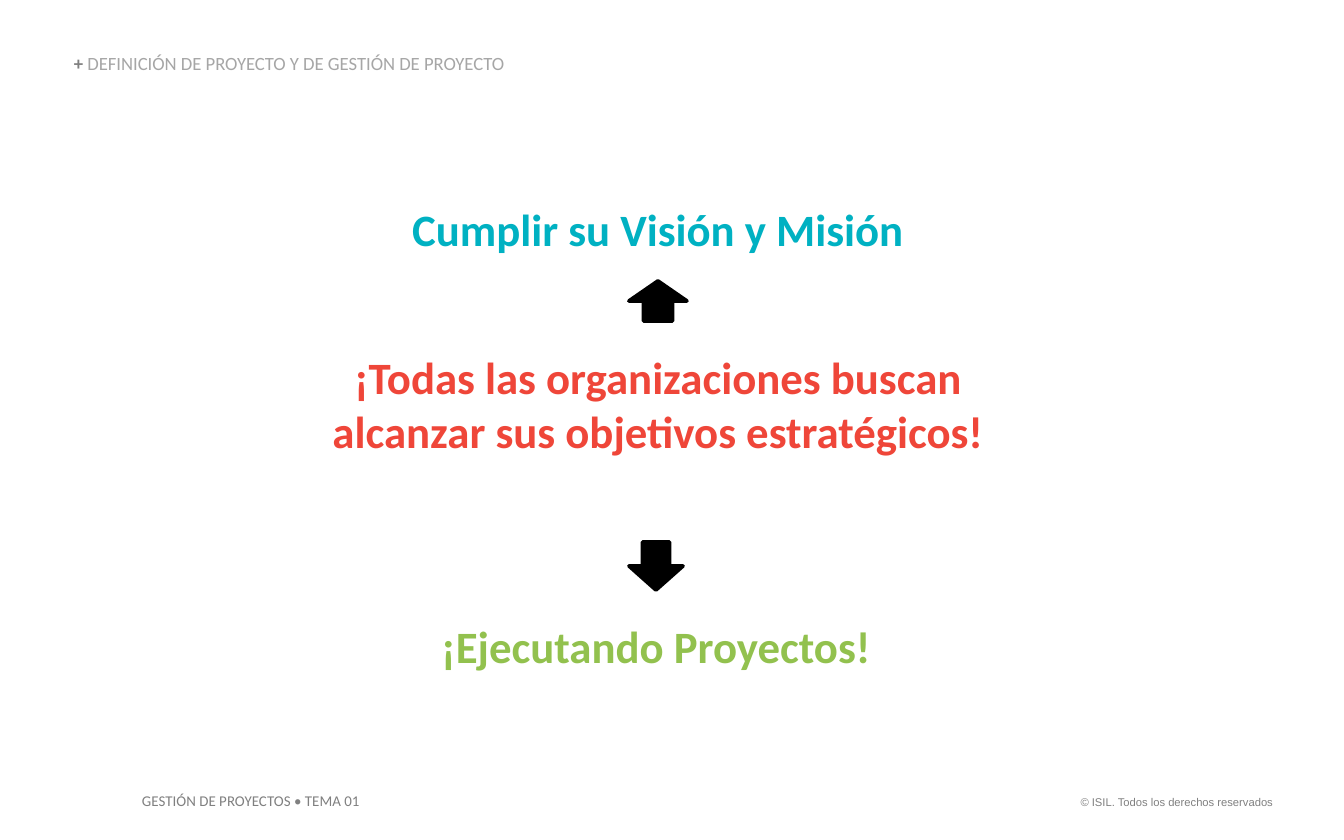
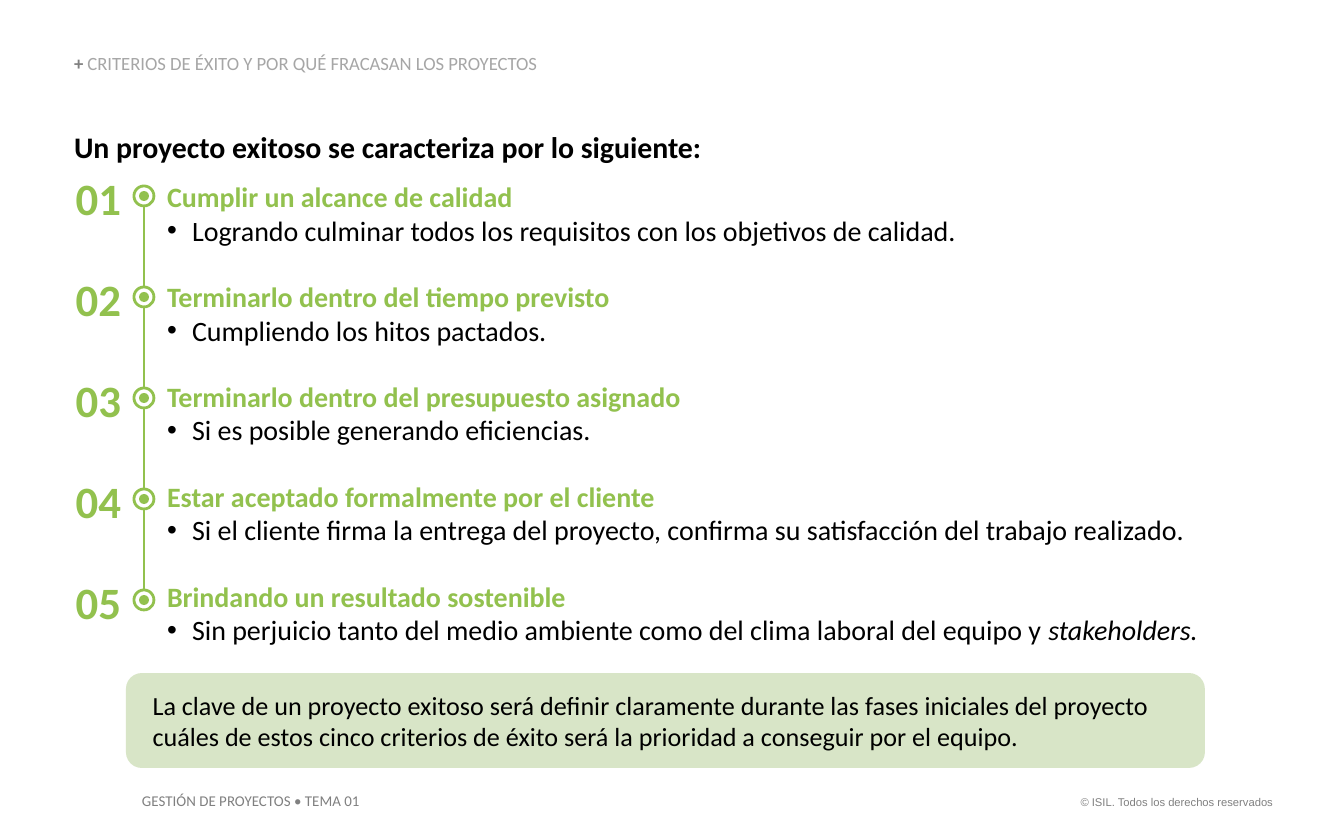
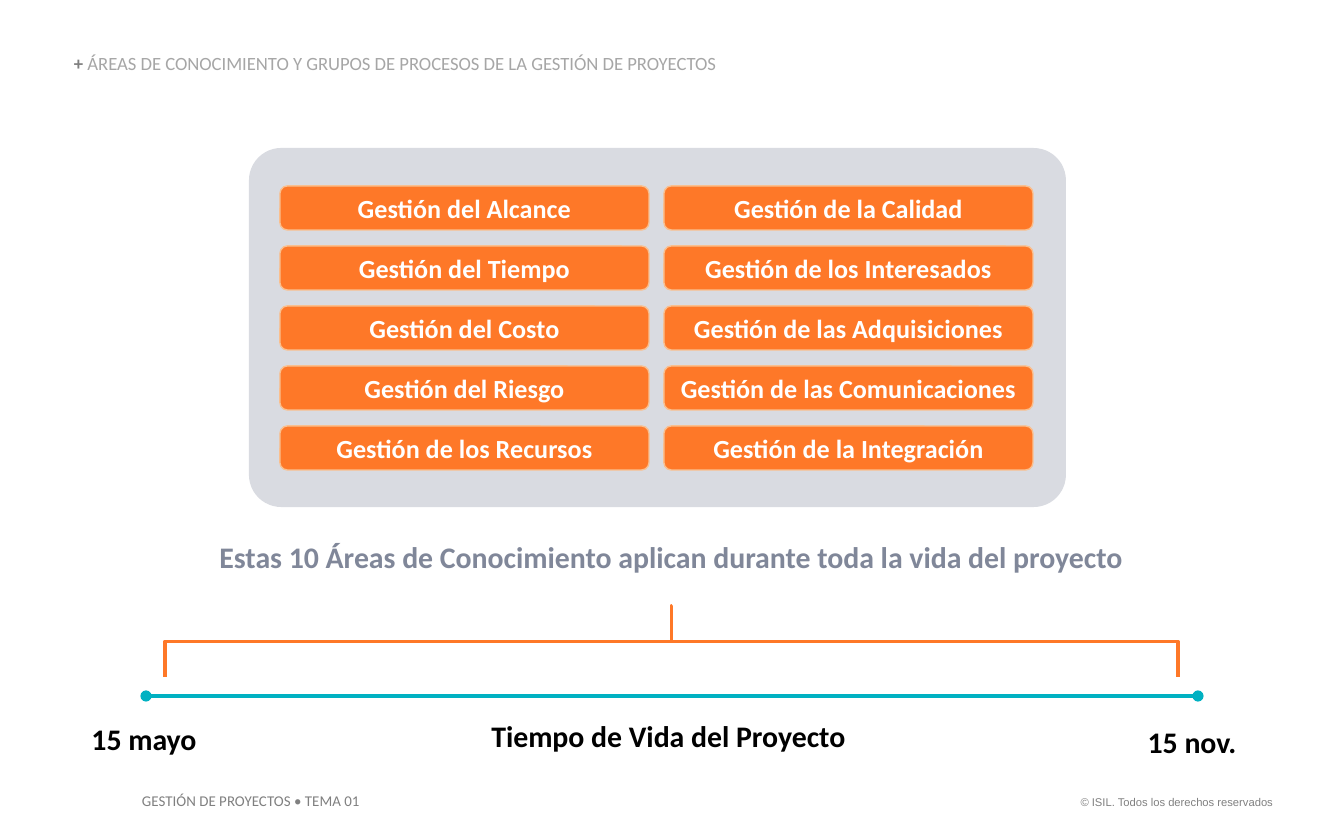
from dataclasses import dataclass
from typing import Any, NamedTuple, Optional

import lxml.etree
import pptx
import pptx.dml.color
import pptx.enum.shapes
import pptx.enum.text
import pptx.oxml.ns
import pptx.util

EMU_PER_PX = 914400 / 134.4
SHAPE = pptx.enum.shapes.MSO_SHAPE
ALIGN = pptx.enum.text.PP_ALIGN
ANCHOR = pptx.enum.text.MSO_ANCHOR
AUTO_SIZE = pptx.enum.text.MSO_AUTO_SIZE


@dataclass(frozen=True)
class Theme:
    font: str = "Calibri"
    legal_font: str = "Arial"
    black: str = "000000"
    white: str = "FFFFFF"
    gray: str = "808080"
    light_gray: str = "A6A6A6"
    slate: str = "808799"
    panel: str = "D9DBE1"
    teal: str = "00B1C2"
    red: str = "EF4639"
    green: str = "92C14E"
    dark_green: str = "81AC46"
    orange: str = "FE7828"
    peach: str = "FABF8E"
    display: int = 24
    heading: int = 16
    body: int = 15
    label: int = 14
    title: int = 10
    footer: int = 8
    legal: int = 6


THEME = Theme()


class Box(NamedTuple):
    left: int
    top: int
    width: int
    height: int


class Message(NamedTuple):
    text: str
    box: Box
    color: str


class Criterion(NamedTuple):
    name: str
    detail: str
    emphasis: str = ""


INSETS = (13, 7, 13, 7)
NO_INSETS = (0, 0, 0, 0)


# Helpers
def px(length: float) -> int:
    return round(length * EMU_PER_PX)


def rgb(color: str) -> Any:
    return pptx.dml.color.RGBColor.from_string(color)


def add_xml(parent: Any, tag: str, **attributes: str) -> Any:
    return lxml.etree.SubElement(parent, pptx.oxml.ns.qn(tag), attributes)


def set_frame(frame: Any, insets: tuple, anchor: Any, wrap: bool = True) -> None:
    frame.word_wrap = wrap
    frame.vertical_anchor = anchor
    (frame.margin_left, frame.margin_top,
     frame.margin_right, frame.margin_bottom) = map(px, insets)


def write(frame: Any, text: str, *, size: int, color: str, bold: bool = False,
          italic: bool = False, font: str = THEME.font, align: Any = ALIGN.LEFT,
          paragraph: Any = None) -> Any:
    """Add a run to the given paragraph, or to a new one, and return the paragraph."""
    if paragraph is None:
        first = frame.paragraphs[0]
        paragraph = frame.add_paragraph() if first.runs else first
        paragraph.alignment = align
    run = paragraph.add_run()
    run.text = text
    run.font.name = font
    run.font.size = pptx.util.Pt(size)
    run.font.bold = bold
    run.font.italic = italic
    run.font.color.rgb = rgb(color)
    return paragraph


def add_frame(shapes: Any, box: Box, insets: tuple = INSETS, anchor: Any = ANCHOR.TOP,
              wrap: bool = True, grow: bool = True) -> Any:
    frame = shapes.add_textbox(*map(px, box)).text_frame
    set_frame(frame, insets, anchor, wrap)
    frame.auto_size = AUTO_SIZE.SHAPE_TO_FIT_TEXT if grow else AUTO_SIZE.NONE
    return frame


def add_figure(shapes: Any, kind: Any, box: Box, fill: Optional[str] = None,
               line: Optional[str] = None, weight: float = 1) -> Any:
    figure = shapes.add_shape(kind, *map(px, box))
    figure.shadow.inherit = False
    if fill:
        figure.fill.solid()
        figure.fill.fore_color.rgb = rgb(fill)
    else:
        figure.fill.background()
    if line:
        figure.line.color.rgb = rgb(line)
        figure.line.width = pptx.util.Pt(weight)
    else:
        figure.line.fill.background()
    return figure


def add_line(shapes: Any, start: tuple, end: tuple, color: str, weight: float,
             oval_ends: bool = False) -> None:
    line = shapes.add_connector(pptx.enum.shapes.MSO_CONNECTOR.STRAIGHT,
                                *map(px, start + end))
    line.line.color.rgb = rgb(color)
    line.line.width = pptx.util.Pt(weight)
    if oval_ends:
        outline = line.line._get_or_add_ln()
        add_xml(outline, "a:headEnd", type="oval")
        add_xml(outline, "a:tailEnd", type="oval")
    add_xml(line._element.spPr, "a:effectLst")


def add_bullet(paragraph: Any) -> None:
    properties = paragraph._p.get_or_add_pPr()
    add_xml(add_xml(properties, "a:buClr"), "a:srgbClr", val=THEME.black)
    add_xml(properties, "a:buFont", typeface=THEME.legal_font)
    add_xml(properties, "a:buChar", char="•")


def indent(paragraph: Any, left: int, first: int = 0) -> None:
    properties = paragraph._p.get_or_add_pPr()
    properties.set("marL", str(px(left)))
    properties.set("indent", str(px(first)))


# Shared title and footers
def add_base_slide(deck: Any, title: str, title_width: int) -> Any:
    shapes = deck.slides.add_slide(deck.slide_layouts[6]).shapes
    legal = add_frame(shapes, Box(1063, 789, 223, 27), wrap=False)
    write(legal, "© ISIL. Todos los derechos reservados", size=THEME.legal,
          color=THEME.gray, font=THEME.legal_font, align=ALIGN.RIGHT)
    course = add_frame(shapes, Box(129, 785, 249, 32), wrap=False)
    write(course, "GESTIÓN DE PROYECTOS • TEMA 01", size=THEME.footer, color=THEME.gray)
    header = add_frame(shapes, Box(74, 55, title_width, 20), NO_INSETS, ANCHOR.BOTTOM)
    line = write(header, "+ ", size=THEME.title, color=THEME.gray, bold=True)
    write(header, title, size=THEME.title, color=THEME.light_gray, paragraph=line)
    line.line_spacing = 0.9
    return shapes


# Slide 1: what organizations pursue
MESSAGES = [
    Message("¡Todas las organizaciones buscan alcanzar sus objetivos estratégicos!",
            Box(294, 343, 728, 122), THEME.red),
    Message("Cumplir su Visión y Misión", Box(294, 195, 728, 67), THEME.teal),
    Message("¡Ejecutando Proyectos!", Box(292, 612, 728, 67), THEME.green),
]


def build_objectives(deck: Any) -> None:
    shapes = add_base_slide(deck, "DEFINICIÓN DE PROYECTO Y DE GESTIÓN DE PROYECTO", 449)
    for message in MESSAGES:
        write(add_frame(shapes, message.box), message.text, size=THEME.display,
              color=message.color, bold=True, align=ALIGN.CENTER)
    for kind, box in ((SHAPE.UP_ARROW, Box(629, 281, 58, 40)),
                      (SHAPE.DOWN_ARROW, Box(629, 542, 54, 48))):
        add_figure(shapes, kind, box, THEME.black, THEME.black, 2)


# Slide 2: success criteria
CRITERIA = [
    Criterion("Cumplir un alcance de calidad",
              "Logrando culminar todos los requisitos con los objetivos de calidad."),
    Criterion("Terminarlo dentro del tiempo previsto", "Cumpliendo los hitos pactados."),
    Criterion("Terminarlo dentro del presupuesto asignado",
              "Si es posible generando eficiencias."),
    Criterion("Estar aceptado formalmente por el cliente",
              "Si el cliente firma la entrega del proyecto, confirma su satisfacción "
              "del trabajo realizado."),
    Criterion("Brindando un resultado sostenible",
              "Sin perjuicio tanto del medio ambiente como del clima laboral "
              "del equipo y ", "stakeholders."),
]
CRITERION_PITCH = 101


def write_criteria(shapes: Any) -> None:
    frame = add_frame(shapes, Box(74, 129, 1171, 552), NO_INSETS, grow=False)
    intro = write(frame, "Un proyecto exitoso se caracteriza por lo siguiente:",
                  size=THEME.heading, color=THEME.black, bold=True)
    intro.space_after = pptx.util.Pt(8)
    for position, criterion in enumerate(CRITERIA):
        name = write(frame, criterion.name, size=THEME.body, color=THEME.green, bold=True)
        indent(name, 93)
        if position:
            name.space_before = pptx.util.Pt(17.5)
        detail = write(frame, criterion.detail, size=THEME.body, color=THEME.black)
        indent(detail, 118, -25)
        add_bullet(detail)
        if criterion.emphasis:
            write(frame, criterion.emphasis, size=THEME.body, color=THEME.black,
                  italic=True, paragraph=detail)


def build_criteria(deck: Any) -> None:
    shapes = add_base_slide(
        deck, "CRITERIOS DE ÉXITO Y POR QUÉ FRACASAN LOS PROYECTOS", 582)
    write_criteria(shapes)

    # Numbered markers along the rail
    add_line(shapes, (144, 207), (144, 593), THEME.green, 1)
    for position in range(len(CRITERIA)):
        offset = position * CRITERION_PITCH
        number = add_frame(shapes, Box(62, 171 + offset, 59, 54), NO_INSETS)
        write(number, f"{position + 1:02}", size=THEME.display, color=THEME.green,
              bold=True, align=ALIGN.RIGHT)
        marker = shapes.add_group_shape().shapes
        add_figure(marker, SHAPE.OVAL, Box(134, 186 + offset, 20, 20),
                   THEME.white, THEME.green, 1.5)
        add_figure(marker, SHAPE.OVAL, Box(139, 191 + offset, 10, 10), THEME.green)

    # Key message
    key = add_figure(shapes, SHAPE.ROUNDED_RECTANGLE, Box(126, 673, 1079, 95),
                     THEME.dark_green)
    tint = key._element.spPr.find(".//" + pptx.oxml.ns.qn("a:srgbClr"))
    add_xml(tint, "a:alpha", val="30000")
    set_frame(key.text_frame, (22, 7, 27, 7), ANCHOR.MIDDLE)
    write(key.text_frame,
          "La clave de un proyecto exitoso será definir claramente durante las fases "
          "iniciales del proyecto cuáles de estos cinco criterios de éxito será la "
          "prioridad a conseguir por el equipo.", size=THEME.label, color=THEME.black)


# Slide 3: knowledge areas
AREA_COLUMNS = [
    ["del Alcance", "del Tiempo", "del Costo", "del Riesgo", "de los Recursos"],
    ["de la Calidad", "de los Interesados", "de las Adquisiciones",
     "de las Comunicaciones", "de la Integración"],
]
TIMELINE_LABELS = [
    ("15 mayo", Box(71, 714, 146, 50)),
    ("15 nov.", Box(1119, 717, 146, 50)),
    ("Tiempo de Vida del Proyecto", Box(448, 711, 441, 50)),
]


def build_areas(deck: Any) -> None:
    shapes = add_base_slide(
        deck, "ÁREAS DE CONOCIMIENTO Y GRUPOS DE PROCESOS DE LA GESTIÓN DE PROYECTOS", 788)

    # Project timeline and brace
    add_line(shapes, (146, 696), (1198, 696), THEME.teal, 2, oval_ends=True)
    for text, box in TIMELINE_LABELS:
        write(add_frame(shapes, box), text, size=THEME.heading, color=THEME.black,
              bold=True, align=ALIGN.CENTER)
    brace = add_figure(shapes, SHAPE.RIGHT_BRACE, Box(636, 135, 71, 1013),
                       line=THEME.orange, weight=2)
    brace.adjustments[0] = 0
    brace.adjustments[1] = 0.5
    brace.rotation = 270

    # Grid of areas
    panel = add_figure(shapes, SHAPE.ROUNDED_RECTANGLE, Box(249, 148, 817, 359),
                       THEME.panel)
    panel.adjustments[0] = 0.09
    for column, areas in enumerate(AREA_COLUMNS):
        for row, area in enumerate(areas):
            box = Box(280 + column * 384, 186 + row * 60, 369, 44)
            tile = add_figure(shapes, SHAPE.ROUNDED_RECTANGLE, box,
                              THEME.orange, THEME.peach, 0.75)
            set_frame(tile.text_frame, INSETS, ANCHOR.MIDDLE)
            write(tile.text_frame, f"Gestión {area}", size=THEME.label,
                  color=THEME.white, bold=True, align=ALIGN.CENTER)

    summary = add_frame(shapes, Box(165, 539, 1013, 36), NO_INSETS)
    write(summary, "Estas 10 Áreas de Conocimiento aplican durante toda la vida del proyecto",
          size=THEME.heading, color=THEME.slate, bold=True, align=ALIGN.CENTER)


def main() -> None:
    deck = pptx.Presentation()
    deck.slide_width = px(1344)
    deck.slide_height = px(840)
    build_objectives(deck)
    build_criteria(deck)
    build_areas(deck)
    deck.save("out.pptx")


if __name__ == "__main__":
    main()
